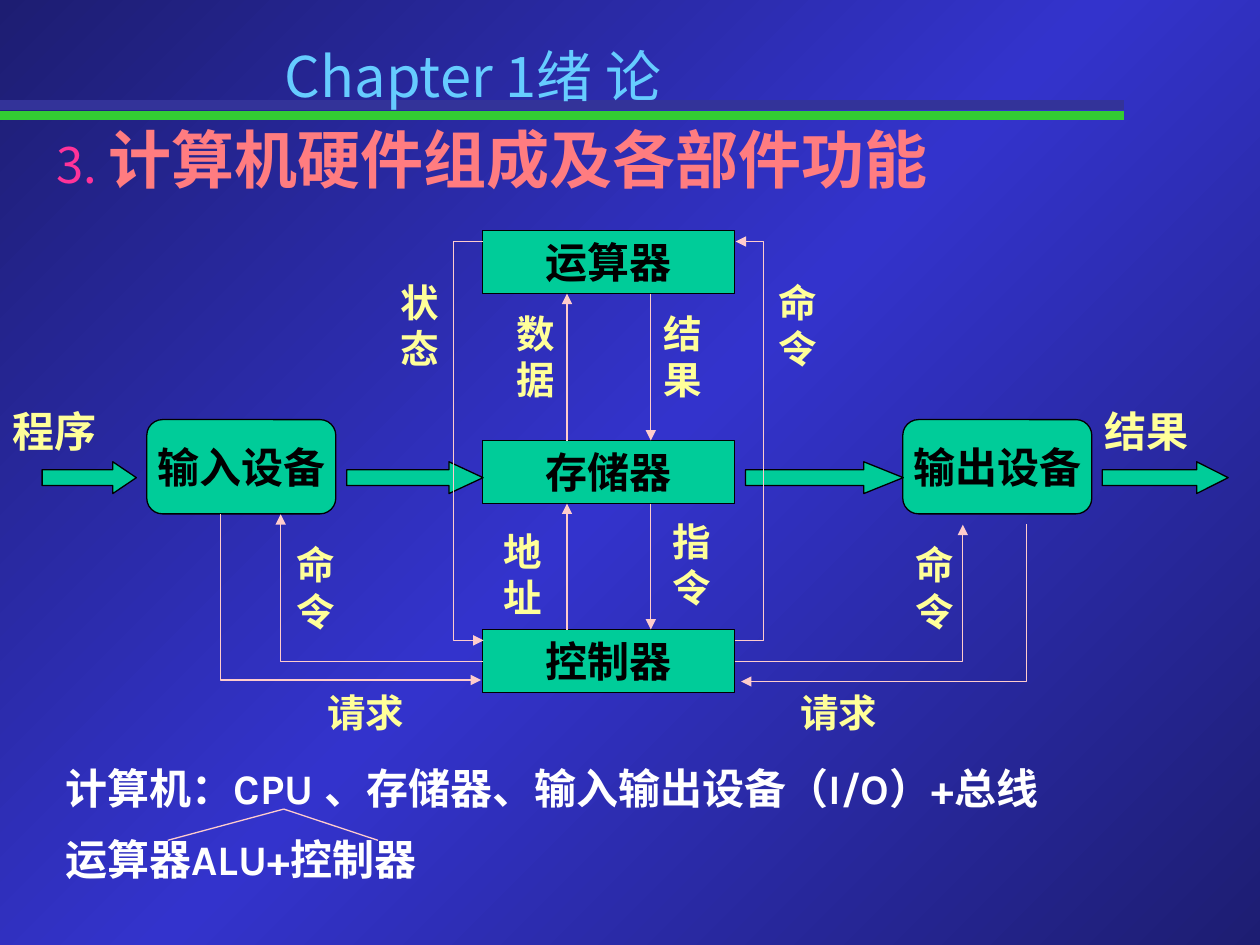
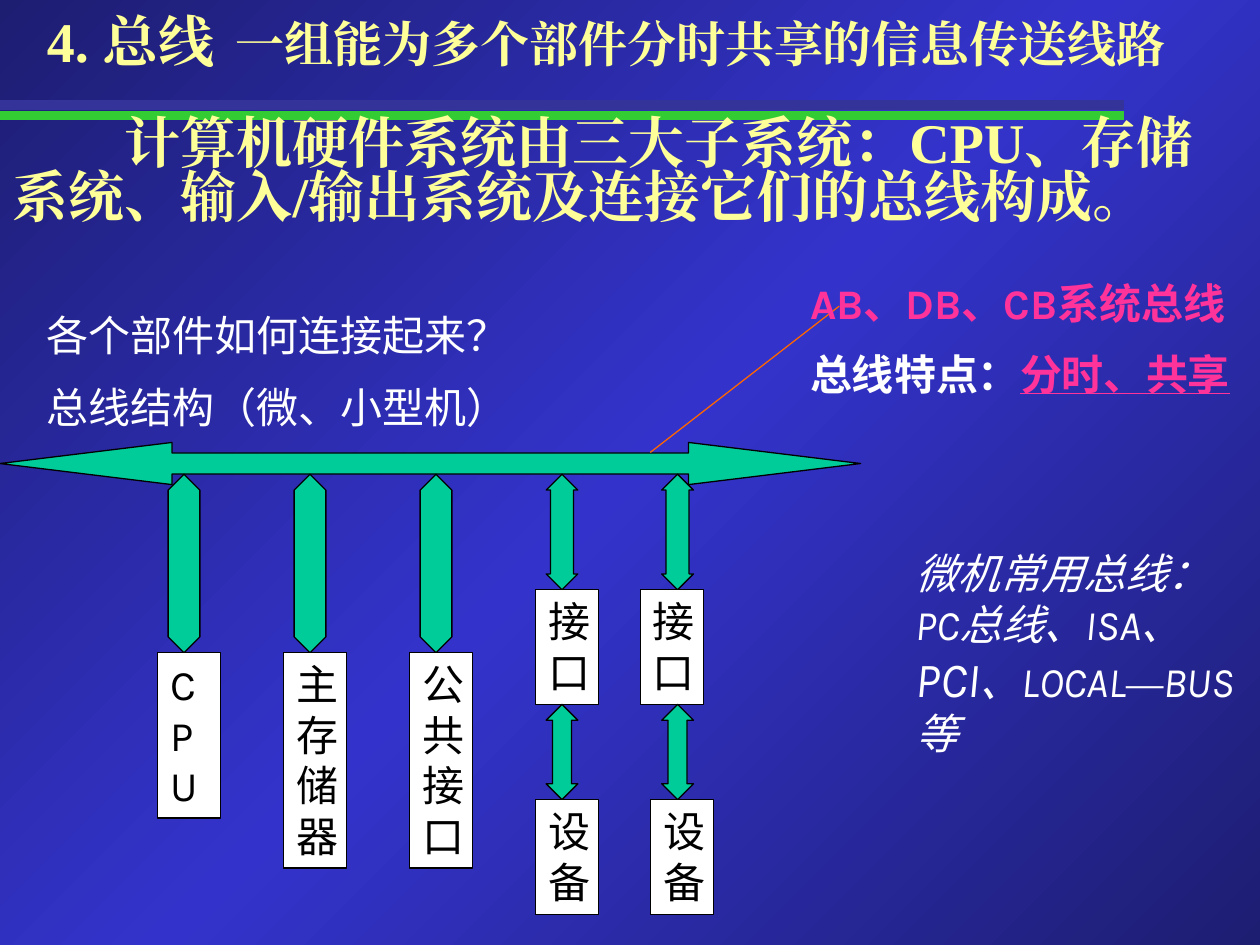
from copy import deepcopy
from dataclasses import dataclass

from lxml.etree import SubElement
from pptx import Presentation
from pptx.dml.color import RGBColor
from pptx.enum.shapes import MSO_CONNECTOR, MSO_SHAPE
from pptx.enum.text import MSO_ANCHOR, MSO_AUTO_SIZE, PP_ALIGN
from pptx.oxml.ns import qn
from pptx.util import Cm, Pt


@dataclass(frozen=True)
class Theme:
    navy: str = "1D1D72"
    blue: str = "3333CC"
    band_green: str = "33CC33"
    band_blue: str = "333399"
    teal: str = "00CC99"
    black: str = "000000"
    white: str = "FFFFFF"
    yellow: str = "FFFF99"
    sky: str = "66CCFF"
    pink: str = "FF3399"
    salmon: str = "FF7C80"
    blush: str = "FFCCCC"
    orange: str = "FF6600"
    sans: str = "Karla"
    chinese: str = "Noto Sans CJK SC"
    serif: str = "Times New Roman"
    heading: int = 36
    title: int = 32
    large: int = 28
    body: int = 24
    label: int = 22
    line: float = 0.75
    band: float = 5.5


THEME = Theme()


@dataclass(frozen=True)
class Box:
    left: float
    top: float
    width: float
    height: float

    def inner(self, left, top, width, height):
        return Box(self.left + left, self.top + top, width, height)

    def point(self, x, y):
        return self.left + x, self.top + y

    def lengths(self):
        return [Cm(value) for value in (self.left, self.top, self.width, self.height)]


def colour(value):
    return RGBColor.from_string(value)


def format_run(run, size, color, font, bold=False, italic=False, underline=False):
    run.font.size = Pt(size)
    run.font.bold = bold
    run.font.italic = italic
    run.font.underline = underline
    run.font.color.rgb = colour(color)
    run.font.name = font
    SubElement(run.font._element, qn("a:ea")).set("typeface", font)


def write_text(frame, paragraphs, align=PP_ALIGN.LEFT, anchor=MSO_ANCHOR.TOP, wrap=True,
               gap=12, line_spacing=None, indent=0, tab=None, size=THEME.body,
               color=THEME.white, font=THEME.sans, **style):
    frame.auto_size = MSO_AUTO_SIZE.NONE
    frame.word_wrap = wrap
    frame.vertical_anchor = anchor
    base = dict(size=size, color=color, font=font, **style)
    for index, runs in enumerate(paragraphs):
        paragraph = frame.add_paragraph() if index else frame.paragraphs[0]
        properties = paragraph._p.get_or_add_pPr()
        properties.set("marL", "0")
        properties.set("indent", str(Cm(indent)))
        SubElement(properties, qn("a:buNone"))
        if tab:
            stops = SubElement(properties, qn("a:tabLst"))
            SubElement(stops, qn("a:tab"), pos=str(Cm(tab)), algn="l")
        paragraph.alignment = align
        paragraph.space_before = Pt(gap if index else 0)
        if line_spacing:
            paragraph.line_spacing = line_spacing
        for text, changes in [(runs, {})] if isinstance(runs, str) else runs:
            run = paragraph.add_run()
            run.text = text
            format_run(run, **{**base, **changes})


def add_text(slide, box, paragraphs, **style):
    write_text(slide.shapes.add_textbox(*box.lengths()).text_frame, paragraphs, **style)


def fill_placeholder(placeholder, box, paragraphs, **style):
    placeholder.left, placeholder.top, placeholder.width, placeholder.height = box.lengths()
    write_text(placeholder.text_frame, paragraphs, **style)


def add_block(slide, kind, box, fill=THEME.teal, text=None, **style):
    shape = slide.shapes.add_shape(kind, *box.lengths())
    shape.shadow.inherit = False
    shape.fill.solid()
    shape.fill.fore_color.rgb = colour(fill)
    shape.line.color.rgb = colour(THEME.black)
    shape.line.width = Pt(THEME.line)
    if text:
        write_text(shape.text_frame, [text], color=THEME.black, **style)
    return shape


def add_block_arrow(slide, kind, box, head_share):
    arrow = add_block(slide, kind, box)
    long_side, short_side = max(box.width, box.height), min(box.width, box.height)
    arrow.adjustments[1] = long_side / short_side * head_share


def add_line(slide, start, end, color=THEME.blush, width=THEME.line, arrow=None,
             kind=MSO_CONNECTOR.STRAIGHT):
    line = slide.shapes.add_connector(kind, *[Cm(value) for value in (*start, *end)])
    line.line.color.rgb = colour(color)
    line.line.width = Pt(width)
    if arrow:
        SubElement(line.line._get_or_add_ln(), qn(f"a:{arrow}"), type="triangle")
    SubElement(line._element.spPr, qn("a:effectLst"))
    return line


def add_corner(slide, start, end, arrow):
    line = add_line(slide, start, end, arrow=arrow, kind=MSO_CONNECTOR.ELBOW)
    line._element.spPr.find(qn("a:prstGeom")).set("prst", "bentConnector2")


def add_loop(slide, start, end, bulge):
    line = add_line(slide, start, end, arrow="tailEnd", kind=MSO_CONNECTOR.ELBOW)
    geometry = line._element.spPr.find(qn("a:prstGeom"))
    adjustments = geometry.get_or_add_avLst()
    ratio = round(bulge / (end[0] - start[0]) * 100000)
    SubElement(adjustments, qn("a:gd"), name="adj1", fmla=f"val {ratio}")


def set_background(master):
    fill = master.background.fill
    fill.gradient()
    fill.gradient_angle = 315
    stops = master.element.find(".//" + qn("a:gsLst"))
    stops.insert(1, deepcopy(stops[0]))
    for stop, position, color in zip(fill.gradient_stops, (0, 0.5, 1),
                                     (THEME.navy, THEME.blue, THEME.navy)):
        stop.position = position
        stop.color.rgb = colour(color)


def move_bands_to_master(slide, master):
    for number, (y, color) in enumerate(((2.33, THEME.band_green), (2.12, THEME.band_blue))):
        band = add_line(slide, (0, y), (22.65, y), color=color, width=THEME.band)
        band._element.nvCxnSpPr.cNvPr.set("id", str(20 + number))
        master.shapes.element.insert(2 + number, band._element)


def draw_units(slide, box):
    centred = dict(align=PP_ALIGN.CENTER, anchor=MSO_ANCHOR.MIDDLE, wrap=False, bold=True)
    for text, y in (("运算器", 0), ("存储器", 4.23), ("控制器", 8.04)):
        add_block(slide, MSO_SHAPE.RECTANGLE, box.inner(9.73, y, 5.08, 1.27), text=text, **centred)
    for text, x in (("输入设备", 2.96), ("输出设备", 18.2)):
        add_block(slide, MSO_SHAPE.ROUNDED_RECTANGLE, box.inner(x, 3.81, 3.81, 1.9),
                  text=text, **centred)
    for x, width in ((0.85, 1.9), (6.99, 2.75), (15.03, 3.18), (22.22, 2.54)):
        add_block_arrow(slide, MSO_SHAPE.RIGHT_ARROW, box.inner(x, 4.66, width, 0.64), 1 / 4)


def draw_signals(slide, box):
    for upper, lower in ((1.27, 4.23), (5.5, 8.04)):
        add_line(slide, box.point(11.43, lower), box.point(11.43, upper), arrow="tailEnd")
        add_line(slide, box.point(13.12, upper), box.point(13.12, lower), arrow="tailEnd")
    add_loop(slide, box.point(14.81, 8.26), box.point(14.83, 0.22), 0.58)
    add_loop(slide, box.point(9.73, 0.22), box.point(9.75, 8.26), -0.58)
    for start, end, arrow in (
        ((9.73, 8.68), (5.66, 5.72), "tailEnd"),
        ((9.7, 9.06), (4.45, 5.72), "headEnd"),
        ((14.81, 8.68), (19.41, 5.93), "tailEnd"),
        ((14.94, 9.09), (20.7, 5.91), "headEnd"),
    ):
        add_corner(slide, box.point(*start), box.point(*end), arrow)


def draw_signal_labels(slide, box):
    for text, x in (("程序", 0), ("结果", 22.01)):
        add_text(slide, box.inner(x, 3.39, 2.74, 1.27), [text], color=THEME.yellow, bold=True)
    for text, x, y, width in (
        ("数据", 10.16, 1.48, 1.27), ("结果", 13.13, 1.48, 1.47),
        ("地址", 9.91, 5.86, 1.27), ("指令", 13.31, 5.66, 1.47),
        ("命令", 15.44, 0.85, 1.7), ("状态", 7.82, 0.85, 1.47),
        ("命令", 5.72, 6.14, 1.47), ("命令", 18.21, 6.14, 1.47),
        ("请求", 6.35, 9.11, 2.74), ("请求", 15.88, 9.11, 2.74),
    ):
        add_text(slide, box.inner(x, y, width, 2.11), [text],
                 size=THEME.label, color=THEME.yellow, bold=True)


def draw_summary(slide, box):
    fill_placeholder(slide.placeholders[1], box, [
        "计算机：CPU 、存储器、输入输出设备（I/O）+总线",
        "运算器ALU+控制器",
    ], bold=True)
    for x in (2.31, 6.55):
        add_line(slide, box.point(4.65, 1.07), box.point(x, 1.7))


def build_hardware_slide(slide):
    fill_placeholder(slide.shapes.title, Box(5.49, 0.71, 13.34, 1.6), ["Chapter 1\t绪 论"],
                     tab=5.89, size=THEME.title, color=THEME.sky, font=THEME.chinese)
    add_text(slide, Box(0.89, 2.31, 21.16, 1.78), [[
        ("3. ", dict(size=THEME.large, color=THEME.pink)),
        ("计算机硬件组成及各部件功能", dict(bold=True)),
    ]], size=THEME.heading, color=THEME.salmon, font=THEME.chinese)
    diagram = Box(0, 4.65, 25.4, 10.32)
    draw_units(slide, diagram)
    draw_signals(slide, diagram)
    draw_signal_labels(slide, diagram)
    draw_summary(slide, Box(1.07, 15.24, 23.06, 2.79))


def draw_bus(slide, box):
    add_block_arrow(slide, MSO_SHAPE.LEFT_RIGHT_ARROW, box.inner(0, 0, 17.35, 0.85), 1 / 5)
    for arrow_x, links in (
        (3.39, [("CPU", 3.18, 3.6, 3.33)]),
        (5.93, [("主存储器", 5.72, 3.6, 4.34)]),
        (8.47, [("公共接口", 8.26, 3.6, 4.34)]),
        (11.01, [("接口", 10.8, 2.33, 2.31), ("设备", 10.8, 1.92, 2.31)]),
        (13.34, [("接口", 12.91, 2.33, 2.31), ("设备", 13.12, 1.92, 2.31)]),
    ):
        y = 0.64
        for text, x, reach, height in links:
            add_block_arrow(slide, MSO_SHAPE.UP_DOWN_ARROW,
                            box.inner(arrow_x, y, 0.64, reach), 1 / 5)
            y += reach
            add_block(slide, MSO_SHAPE.RECTANGLE, box.inner(x, y, 1.27, height),
                      fill=THEME.white, text=text)
            y += height


def draw_bus_notes(slide, box):
    add_line(slide, box.point(-2.97, 3.66), box.point(0.84, 0.71), color=THEME.orange)
    add_text(slide, box.inner(0, 0, 9.32, 2.79), [
        "AB、DB、CB系统总线",
        [("总线特点：", dict(color=THEME.white)), ("分时、共享", dict(underline=True))],
    ], color=THEME.pink, bold=True)
    add_text(slide, box.inner(2.13, 5.46, 7.19, 4.5), [[
        ("微机常用总线：PC总线、ISA、", {}),
        ("PCI", dict(size=THEME.large)),
        ("、LOCAL", {}),
        ("—", dict(font=THEME.serif)),
        ("BUS等", {}),
    ]], italic=True)


def build_bus_slide(slide):
    serif = dict(color=THEME.yellow, font=THEME.serif, bold=True, size=THEME.title)
    fill_placeholder(slide.shapes.title, Box(0.69, 0, 24.71, 1.6), [[
        ("4. 总线\t", {}),
        ("一组能为多个部件分时共享的信息传送线路", dict(size=THEME.large)),
    ]], tab=4.99, **serif)
    add_text(slide, Box(0, 2.31, 25.4, 2.69), [
        "计算机硬件系统由三大子系统：CPU、存储系统、输入/输出系统及连接它们的总线构成。",
    ], indent=2.26, line_spacing=0.8, **serif)
    fill_placeholder(slide.placeholders[1], Box(0.69, 6.12, 17.98, 2.79),
                     ["各个部件如何连接起来？", "总线结构（微、小型机）"])
    draw_bus(slide, Box(0, 8.92, 17.35, 9.52))
    draw_bus_notes(slide, Box(16.08, 5.46, 9.32, 9.96))


def main():
    presentation = Presentation()
    presentation.slide_width, presentation.slide_height = Cm(25.4), Cm(19.05)
    master = presentation.slide_master
    set_background(master)
    layout = presentation.slide_layouts[1]
    hardware, bus = [presentation.slides.add_slide(layout) for _ in range(2)]
    move_bands_to_master(hardware, master)
    build_hardware_slide(hardware)
    build_bus_slide(bus)
    presentation.save("out.pptx")


if __name__ == "__main__":
    main()
